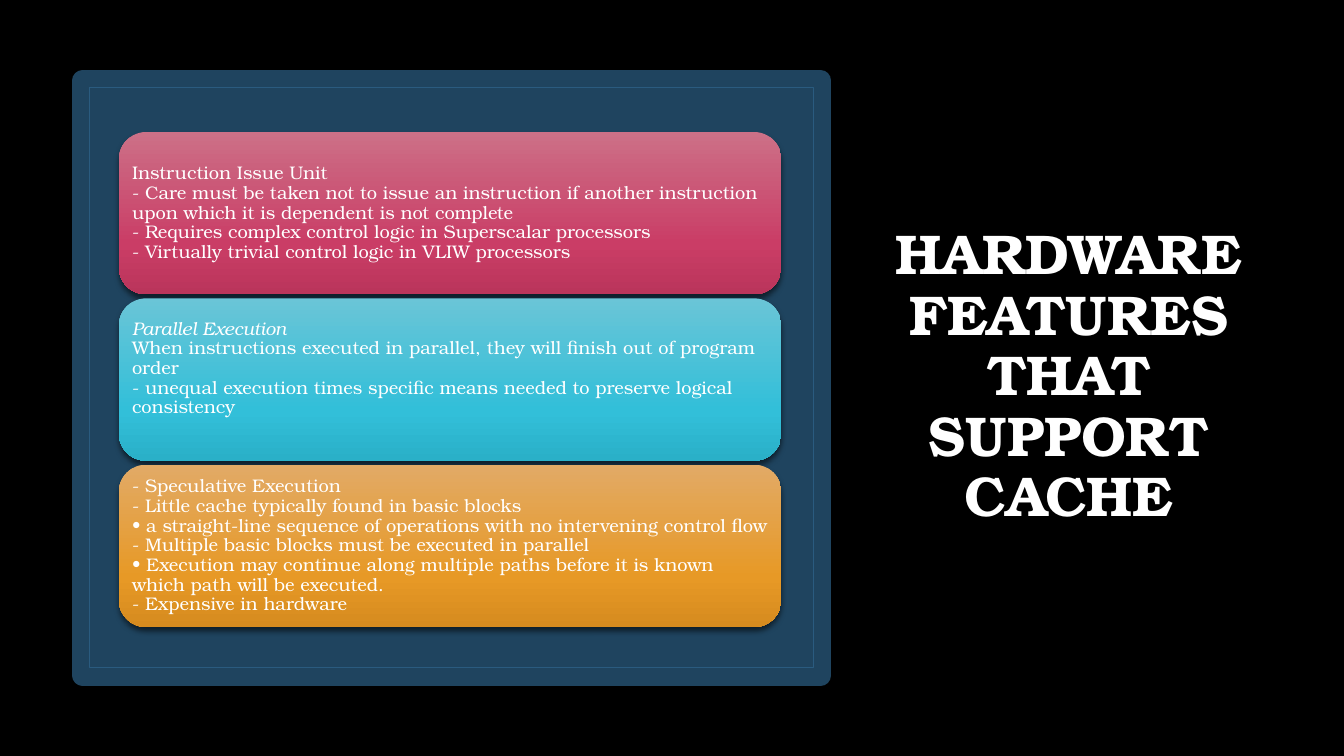
from copy import deepcopy

from pptx import Presentation
from pptx.dml.color import RGBColor
from pptx.enum.shapes import MSO_SHAPE
from pptx.enum.text import MSO_ANCHOR, PP_ALIGN
from pptx.oxml import parse_xml
from pptx.oxml.ns import nsdecls, qn
from pptx.util import Inches, Pt

FONT = "TeX Gyre Bonum"
BLACK = RGBColor(0x00, 0x00, 0x00)
WHITE = RGBColor(0xFF, 0xFF, 0xFF)
NAVY = RGBColor(0x1F, 0x44, 0x5F)
FRAME_BLUE = RGBColor(0x2A, 0x5B, 0x7F)
PINKS = [RGBColor(0xCC, 0x70, 0x87), RGBColor(0xCA, 0x3D, 0x66), RGBColor(0xBA, 0x35, 0x5B)]
TEALS = [RGBColor(0x6A, 0xC5, 0xD7), RGBColor(0x32, 0xBF, 0xD9), RGBColor(0x2A, 0xB0, 0xC8)]
ORANGES = [RGBColor(0xE2, 0xAA, 0x66), RGBColor(0xE7, 0x99, 0x26), RGBColor(0xD6, 0x8B, 0x1F)]
STOPS = [0, 0.69, 1]

CARD_TOP, CARD_STEP = 1.31, 1.65
# Gradient colours, italic heading or not, lines of text
CARDS = [
    (PINKS, False, [
        "Instruction Issue Unit",
        "- Care must be taken not to issue an instruction if another instruction "
        "upon which it is dependent is not complete",
        "- Requires complex control logic in Superscalar processors",
        "- Virtually trivial control logic in VLIW processors",
    ]),
    (TEALS, True, [
        "Parallel Execution",
        "When instructions executed in parallel, they will finish out of program order",
        "- unequal execution times specific means needed to preserve logical consistency",
        "",
    ]),
    (ORANGES, False, [
        "- Speculative Execution",
        "- Little cache typically found in basic blocks",
        "• a straight-line sequence of operations with no intervening control flow",
        "- Multiple basic blocks must be executed in parallel",
        "• Execution may continue along multiple paths before it is known "
        "which path will be executed.",
        "- Expensive in hardware",
    ]),
]


def add_box(slide, kind, x, y, w, h):
    sp = slide.shapes.add_shape(kind, Inches(x), Inches(y), Inches(w), Inches(h))
    sp.shadow.inherit = False
    return sp


def set_line(sp, color, width):
    sp.line.color.rgb = color
    sp.line.width = Pt(width)


def add_shadow(sp, alpha, blur, dist):
    """Black shadow straight below; alpha in percent, lengths in points."""
    effects = sp._element.spPr.find(qn("a:effectLst"))
    effects.append(parse_xml(
        f'<a:outerShdw {nsdecls("a")} blurRad="{Pt(blur)}" dist="{Pt(dist)}" '
        f'dir="5400000" rotWithShape="0"><a:srgbClr val="000000">'
        f'<a:alpha val="{alpha * 1000}"/></a:srgbClr></a:outerShdw>'))


def fill_gradient(sp, colors):
    sp.fill.gradient()
    sp.fill.gradient_angle = 270
    stop_list = sp._element.spPr.find(".//" + qn("a:gsLst"))
    stop_list.append(deepcopy(stop_list[0]))
    for stop, position, color in zip(sp.fill.gradient_stops, STOPS, colors):
        stop.position = position
        stop.color.rgb = color


def add_text(slide, x, y, w, h, lines, size, inset=0.1, bold=False,
             italic_heading=False, align=PP_ALIGN.LEFT):
    tf = slide.shapes.add_textbox(Inches(x), Inches(y), Inches(w), Inches(h)).text_frame
    tf.word_wrap = True
    tf.vertical_anchor = MSO_ANCHOR.MIDDLE
    tf.margin_left = tf.margin_right = Inches(inset)
    tf.margin_top = tf.margin_bottom = Inches(min(inset, 0.05))
    p = tf.paragraphs[0]
    p.alignment = align
    p.line_spacing = 0.9
    p.font.name = FONT
    p.font.size = Pt(size)
    p.font.bold = bold
    p.font.color.rgb = WHITE
    for i, line in enumerate(lines):
        if i:
            p.add_line_break()
        if line:
            r = p.add_run()
            r.text = line
            if italic_heading and i == 0:
                r.font.italic = True


def add_card(slide, y, colors, italic_heading, lines):
    sp = add_box(slide, MSO_SHAPE.ROUNDED_RECTANGLE, 1.18, y, 6.57, 1.61)
    fill_gradient(sp, colors)
    sp.line.fill.background()
    add_shadow(sp, 54, 4, 3)
    add_text(slide, 1.26, y + 0.08, 6.41, 1.45, lines, 13, inset=0.05,
             italic_heading=italic_heading)


def main():
    prs = Presentation()
    prs.slide_width, prs.slide_height = Inches(13.33), Inches(7.5)
    slide = prs.slides.add_slide(prs.slide_layouts[6])
    slide.background.fill.solid()
    slide.background.fill.fore_color.rgb = BLACK

    # Title
    add_text(slide, 8.61, 0.69, 3.98, 6.11, ["HARDWARE FEATURES THAT SUPPORT CACHE"],
             40, bold=True, align=PP_ALIGN.CENTER)

    # Panel with inner frame
    panel = add_box(slide, MSO_SHAPE.RECTANGLE, 0.82, 0.8, 7.32, 5.9)
    panel.fill.solid()
    panel.fill.fore_color.rgb = NAVY
    set_line(panel, NAVY, 15)
    add_shadow(panel, 40, 4.3, 1.4)
    frame = add_box(slide, MSO_SHAPE.RECTANGLE, 0.89, 0.87, 7.18, 5.75)
    frame.fill.background()
    set_line(frame, FRAME_BLUE, 1)

    # Feature cards
    for i, card in enumerate(CARDS):
        add_card(slide, CARD_TOP + i * CARD_STEP, *card)

    prs.save("out.pptx")


if __name__ == "__main__":
    main()
